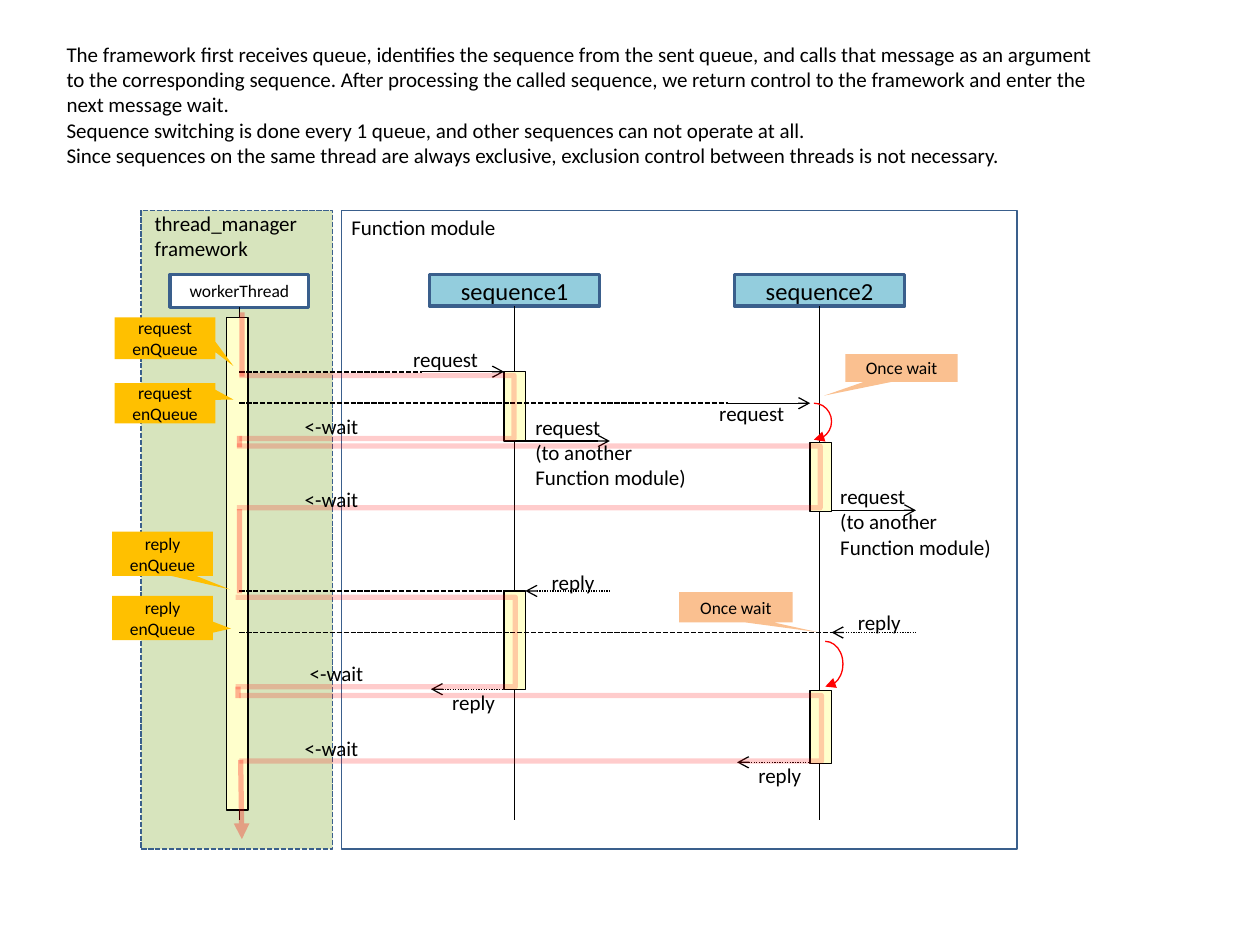
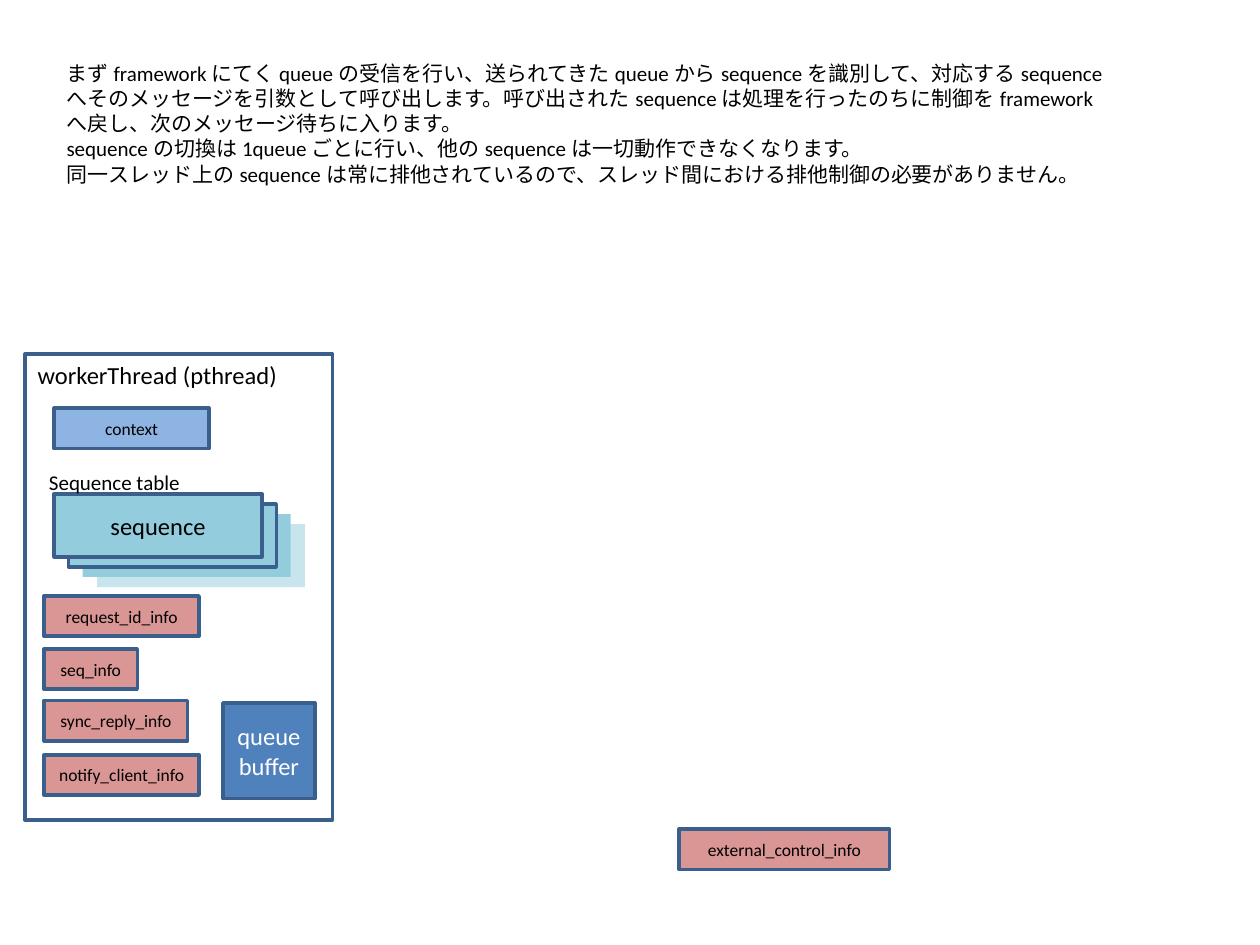
from dataclasses import dataclass
from typing import Optional

import lxml.etree
import pptx
import pptx.dml.color
import pptx.enum.dml
import pptx.enum.shapes
import pptx.enum.text
import pptx.oxml.ns
import pptx.util

Inches = pptx.util.Inches
Pt = pptx.util.Pt
RGBColor = pptx.dml.color.RGBColor
Shape = pptx.enum.shapes.MSO_SHAPE
Dash = pptx.enum.dml.MSO_LINE
Align = pptx.enum.text.PP_ALIGN
qn = pptx.oxml.ns.qn

BLACK = RGBColor(0x00, 0x00, 0x00)
WHITE = RGBColor(0xFF, 0xFF, 0xFF)
RED = RGBColor(0xFF, 0x00, 0x00)
NAVY = RGBColor(0x3A, 0x5F, 0x8C)
BLUE = RGBColor(0x4F, 0x81, 0xBD)
SKY = RGBColor(0x8E, 0xB4, 0xE3)
TEAL = RGBColor(0x93, 0xCD, 0xDD)
GREEN = RGBColor(0xD7, 0xE4, 0xBD)
CREAM = RGBColor(0xFF, 0xFF, 0xCC)
AMBER = RGBColor(0xFF, 0xC0, 0x00)
PEACH = RGBColor(0xFA, 0xC0, 0x90)
ROSE = RGBColor(0xD9, 0x96, 0x94)

FONT = "Calibri"
BAR_WIDTH = 0.17
THREAD_X = 1.9
CONTROL_WIDTH = 3


@dataclass
class Stroke:
    color: RGBColor = BLACK
    width: float = 0.75
    dash: Optional[Dash] = None
    opacity: int = 100
    head: str = ""
    tail: str = ""


@dataclass
class Box:
    left: float
    top: float
    width: float
    height: float
    text: str = ""
    fill: Optional[RGBColor] = None
    stroke: Optional[Stroke] = None
    size: int = 10
    color: RGBColor = BLACK
    kind: Shape = Shape.RECTANGLE
    adjustments: tuple[float, ...] = ()
    opacity: int = 100


@dataclass
class Label:
    left: float
    top: float
    width: float
    height: float
    text: str
    size: int = 12
    wrap: bool = False


@dataclass
class Sequence:
    name: str
    head_left: float
    bar_left: float
    bars: tuple[tuple[float, float], ...]  # top, height
    call: float
    request: float
    answer: float
    reply: float


OUTLINE = Stroke(NAVY, 2)
FRAME = Stroke(NAVY, 1)
DASHED = Stroke(width=1, dash=Dash.SQUARE_DOT)
SEND = Stroke(tail="arrow")
REPLY = Stroke(dash=Dash.ROUND_DOT, head="arrow")
CONTROL = Stroke(RED, CONTROL_WIDTH, opacity=20)
CONTROL_DOWN = Stroke(RED, CONTROL_WIDTH, opacity=30)
CONTROL_END = Stroke(RED, CONTROL_WIDTH, opacity=30, tail="triangle")
DELAY = Stroke(RED, tail="triangle")

SEQUENCES = [
    Sequence("sequence1", 3.41, 4.0, ((2.95, 0.55), (4.69, 0.78)), 2.95, 3.5, 4.69, 5.47),
    Sequence("sequence2", 5.83, 6.43, ((3.51, 0.55), (5.48, 0.58)), 3.2, 4.05, 5.02, 6.05),
]
CONTROL_LOOPS = [(1.9, 2.98, 2.18, 0.5), (1.88, 3.54, 4.63, 0.49),
                 (1.87, 4.74, 2.22, 0.71), (1.9, 5.52, 4.62, 0.52)]
CONTROL_STEPS = [(1.92, 2.48, 2.99), (1.9, 3.46, 3.55), (1.9, 4.04, 4.71), (1.89, 5.45, 5.54)]
DELAYS = [(6.46, 3.2, 0.14, 0.29), (6.55, 5.09, 0.14, 0.36)]
OUTWARD = "request\n(to another\nFunction module)"
FLOW_LABELS = [
    Label(2.69, 1.65, 1.36, 0.3, "Function module"),
    Label(1.13, 1.62, 1.34, 0.5, "thread_manager\nframework"),
    *[Label(x, y, 0.72, 0.3, "request") for x, y in [(3.18, 2.7), (5.61, 3.13)]],
    *[Label(x, y, 1.41, 0.71, OUTWARD) for x, y in [(4.15, 3.24), (6.57, 3.79)]],
    *[Label(x, y, 0.54, 0.3, "reply")
      for x, y in [(4.28, 4.47), (3.49, 5.42), (6.71, 4.79), (5.92, 6.0)]],
    *[Label(x, y, 0.63, 0.3, "<-wait")
      for x, y in [(2.32, 3.23), (2.32, 3.81), (2.36, 5.19), (2.32, 5.79)]],
]
CALLOUTS = [
    Box(left, top, width, height, text, fill, kind=Shape.RECTANGULAR_CALLOUT,
        adjustments=pointer)
    for left, top, width, height, text, fill, pointer in [
        (0.91, 2.52, 0.8, 0.33, "request\nenQueue", AMBER, (0.68, 0.67)),
        (0.91, 3.04, 0.8, 0.32, "request\nenQueue", AMBER, (0.68, -0.09)),
        (0.89, 4.22, 0.8, 0.35, "reply\nenQueue", AMBER, (0.67, 0.81)),
        (0.89, 4.73, 0.8, 0.35, "reply\nenQueue", AMBER, (0.68, 0.24)),
        (6.71, 2.81, 0.89, 0.22, "Once wait", PEACH, (-0.69, 1.0)),
        (5.39, 4.7, 0.9, 0.24, "Once wait", PEACH, (0.72, 0.82)),
    ]
]
INFO_BOXES = [
    Box(left, top, width, 0.32, text, fill, OUTLINE)
    for left, top, width, text, fill in [
        (0.35, 4.73, 1.23, "request_id_info", ROSE),
        (0.35, 5.15, 0.74, "seq_info", ROSE),
        (0.35, 5.56, 1.14, "sync_reply_info", ROSE),
        (0.35, 5.99, 1.23, "notify_client_info", ROSE),
        (0.43, 3.24, 1.23, "context", SKY),
        (5.39, 6.58, 1.67, "external_control_info", ROSE),
    ]
]
INTRO_ENGLISH = (
    "The framework first receives queue, identifies the sequence from the sent queue, "
    "and calls that message as an argument to the corresponding sequence. After processing "
    "the called sequence, we return control to the framework and enter the next message wait.\n"
    "Sequence switching is done every 1 queue, and other sequences can not operate at all.\n"
    "Since sequences on the same thread are always exclusive, exclusion control between "
    "threads is not necessary."
)
INTRO_JAPANESE = (
    "まずframeworkにてくqueueの受信を行い、送られてきたqueueからsequenceを識別して、"
    "対応するsequenceへそのメッセージを引数として呼び出します。"
    "呼び出されたsequenceは処理を行ったのちに制御をframeworkへ戻し、"
    "次のメッセージ待ちに入ります。\n"
    "sequenceの切換は1queueごとに行い、他のsequenceは一切動作できなくなります。\n"
    "同一スレッド上のsequenceは常に排他されているので、"
    "スレッド間における排他制御の必要がありません。"
)


def write(frame, text: str, size: int, color: RGBColor, align: Align) -> None:
    frame.text = text
    for para in frame.paragraphs:
        para.alignment = align
        for span in para.runs:
            for name, value in {"name": FONT, "size": Pt(size)}.items():
                setattr(span.font, name, value)
            span.font.color.rgb = color


def set_opacity(parent, percent: int) -> None:
    if percent < 100:
        color = parent.find(qn("a:solidFill")).find(qn("a:srgbClr"))
        lxml.etree.SubElement(color, qn("a:alpha"), val=str(percent * 1000))


def apply_stroke(item, stroke: Stroke) -> None:
    item.line.color.rgb = stroke.color
    item.line.width = Pt(stroke.width)
    if stroke.dash is not None:
        item.line.dash_style = stroke.dash
    outline = item.element.spPr.find(qn("a:ln"))
    set_opacity(outline, stroke.opacity)
    for tag, arrow in (("a:headEnd", stroke.head), ("a:tailEnd", stroke.tail)):
        if arrow:
            lxml.etree.SubElement(outline, qn(tag), type=arrow)


def draw_box(page, box: Box):
    shape = page.shapes.add_shape(
        box.kind, Inches(box.left), Inches(box.top), Inches(box.width), Inches(box.height))
    shape.shadow.inherit = False
    for index, value in enumerate(box.adjustments):
        shape.adjustments[index] = value
    if box.fill is None:
        shape.fill.background()
    else:
        shape.fill.solid()
        shape.fill.fore_color.rgb = box.fill
        set_opacity(shape.element.spPr, box.opacity)
    if box.stroke is None:
        shape.line.fill.background()
    else:
        apply_stroke(shape, box.stroke)
    if box.text:
        shape.text_frame.vertical_anchor = pptx.enum.text.MSO_ANCHOR.MIDDLE
        write(shape.text_frame, box.text, box.size, box.color, Align.CENTER)
    return shape


def draw_label(page, label: Label) -> None:
    frame = page.shapes.add_textbox(
        Inches(label.left), Inches(label.top), Inches(label.width), Inches(label.height)
    ).text_frame
    settings = {"word_wrap": label.wrap,
                "auto_size": pptx.enum.text.MSO_AUTO_SIZE.SHAPE_TO_FIT_TEXT}
    for name, value in settings.items():
        setattr(frame, name, value)
    write(frame, label.text, label.size, BLACK, Align.LEFT)


def draw_line(page, x1: float, y1: float, x2: float, y2: float, stroke: Stroke):
    line = page.shapes.add_connector(
        pptx.enum.shapes.MSO_CONNECTOR.STRAIGHT,
        Inches(x1), Inches(y1), Inches(x2), Inches(y2))
    apply_stroke(line, stroke)
    lxml.etree.SubElement(line.element.spPr, qn("a:effectLst"))
    return line


def draw_lifeline(page, head: Box, bar_left: float, bars: tuple) -> None:
    """Draw a participant's head, the line hanging from it and its activation bars."""
    center = head.left + head.width / 2
    header = draw_box(page, head)
    draw_line(page, center, head.top + head.height, center, 6.51, Stroke()).begin_connect(header, 2)
    for top, height in bars:
        draw_box(page, Box(bar_left, top, BAR_WIDTH, height, fill=CREAM, stroke=Stroke()))


def draw_messages(page, sequence: Sequence) -> None:
    left, right = sequence.bar_left, sequence.bar_left + BAR_WIDTH
    for x1, x2, y, stroke in [
        (left - 0.66, left, sequence.call, SEND),
        (right, right + 0.67, sequence.request, SEND),
        (right, right + 0.67, sequence.answer, REPLY),
        (left - 0.58, left, sequence.reply, REPLY),
        (THREAD_X, left - 0.65, sequence.call, DASHED),
        (THREAD_X, right, sequence.answer, DASHED),
    ]:
        draw_line(page, x1, y, x2, y, stroke)


def build_flow_page(page) -> None:
    draw_box(page, Box(1.12, 1.67, 1.52, 5.07, fill=GREEN,
                       stroke=Stroke(NAVY, 1, Dash.SQUARE_DOT)))
    draw_box(page, Box(2.71, 1.67, 5.36, 5.07, stroke=FRAME))
    worker = Box(1.35, 2.18, 1.1, 0.26, "workerThread", WHITE, OUTLINE)
    draw_lifeline(page, worker, 1.8, ((2.52, 3.91),))
    for sequence in SEQUENCES:
        head = Box(sequence.head_left, 2.18, 1.35, 0.25, sequence.name, TEAL, OUTLINE, 14)
        draw_lifeline(page, head, sequence.bar_left, sequence.bars)
        draw_messages(page, sequence)
    for loops, stroke, bend in ((CONTROL_LOOPS, CONTROL, 0), (DELAYS, DELAY, 1.27)):
        for loop in loops:
            draw_box(page, Box(*loop, stroke=stroke, kind=Shape.RIGHT_BRACKET,
                               adjustments=(bend,)))
    for x, top, bottom in CONTROL_STEPS:
        draw_line(page, x, top, x, bottom, CONTROL_DOWN)
    draw_line(page, 1.91, 6.03, 1.92, 6.66, CONTROL_END)
    for label in FLOW_LABELS:
        draw_label(page, label)
    for callout in CALLOUTS:
        draw_box(page, callout)
    draw_label(page, Label(0.43, 0.28, 8.46, 1.11, INTRO_ENGLISH, wrap=True))


def build_thread_page(page) -> None:
    draw_box(page, Box(0.2, 2.81, 2.44, 3.7, stroke=OUTLINE))
    for depth in (3, 2, 1, 0):
        draw_box(page, Box(
            0.43 + 0.34 * depth / 3, 3.92 + 0.08 * depth, 1.65, 0.5,
            "" if depth else "sequence", TEAL, OUTLINE if depth < 2 else None, 14,
            opacity=50 if depth == 3 else 100))
    draw_box(page, Box(1.77, 5.58, 0.73, 0.76, "queue\nbuffer", BLUE, OUTLINE, 14, WHITE))
    for box in INFO_BOXES:
        draw_box(page, box)
    draw_label(page, Label(0.2, 2.81, 2.12, 0.34, "workerThread (pthread)", 14))
    draw_label(page, Label(0.29, 3.68, 1.25, 0.3, "Sequence table"))
    draw_label(page, Label(0.43, 0.43, 8.46, 1.11, INTRO_JAPANESE, wrap=True))


def main() -> None:
    deck = pptx.Presentation()
    deck.slide_width, deck.slide_height = Inches(10), Inches(7.5)
    blank = deck.slide_layouts[6]
    for build in (build_flow_page, build_thread_page):
        build(deck.slides.add_slide(blank))
    deck.save("out.pptx")


if __name__ == "__main__":
    main()
